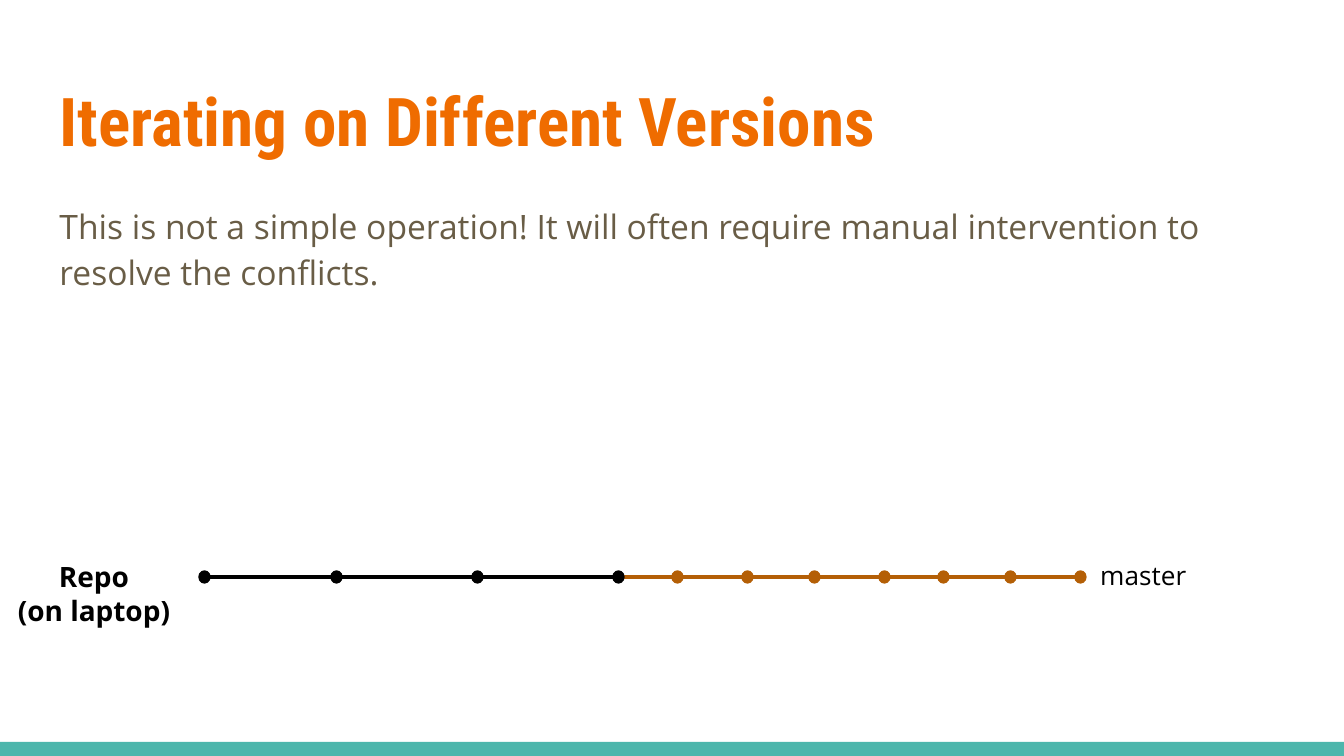
import pptx
import pptx.dml.color
import pptx.enum.shapes
import pptx.enum.text
import pptx.util
import pptx.oxml.xmlchemy

WIDTH, HEIGHT = 1344, 756
EMU_PER_PX = 9144000 / WIDTH
BLACK, BROWN, ORANGE, TAUPE, TEAL = "000000", "B45F06", "EF6C00", "695D46", "4DB6AC"
DOT_WIDTH, DOT_HEIGHT = 11, 12


def px(length):
    return pptx.util.Emu(round(length * EMU_PER_PX))


def color(hex_string):
    return pptx.dml.color.RGBColor.from_string(hex_string)


def place(shape, box):
    shape.left, shape.top, shape.width, shape.height = map(px, box)


def write(shape, text, size, fill, font="Open Sans", bold=False, align="LEFT",
          spacing=1.0, space_after=0):
    frame = shape.text_frame
    frame.word_wrap = True
    frame.auto_size = pptx.enum.text.MSO_AUTO_SIZE.NONE
    frame.vertical_anchor = pptx.enum.text.MSO_ANCHOR.TOP
    frame.margin_left = frame.margin_right = pptx.util.Inches(0.1)
    frame.margin_top = frame.margin_bottom = pptx.util.Inches(0.1)
    frame.text = text
    for paragraph in frame.paragraphs:
        paragraph.alignment = getattr(pptx.enum.text.PP_ALIGN, align)
        paragraph.line_spacing = spacing
        paragraph.space_before = pptx.util.Pt(0)
        paragraph.space_after = pptx.util.Pt(space_after)
        for run in paragraph.runs:
            run.font.name = font
            run.font.size = pptx.util.Pt(size)
            run.font.bold = bold
            run.font.color.rgb = color(fill)


def add_label(slide, box, text, **text_format):
    label = slide.shapes.add_textbox(*map(px, box))
    write(label, text, fill=BLACK, **text_format)


def add_filled(slide, kind, box, fill):
    shape = slide.shapes.add_shape(kind, *map(px, box))
    shape.shadow.inherit = False
    shape.fill.solid()
    shape.fill.fore_color.rgb = color(fill)
    shape.line.fill.background()
    return shape


def add_commit(slide, left, top, fill):
    box = (left, top, DOT_WIDTH, DOT_HEIGHT)
    dot = add_filled(slide, pptx.enum.shapes.MSO_SHAPE.OVAL, box, fill)
    dot.line.color.rgb = color(fill)
    dot.line.width = pptx.util.Pt(0.75)


def add_link(slide, start, end, y, fill):
    link = slide.shapes.add_connector(
        pptx.enum.shapes.MSO_CONNECTOR.STRAIGHT, px(start), px(y), px(end), px(y))
    link.line.color.rgb = color(fill)
    link.line.width = pptx.util.Pt(2.25)
    properties = link._element.spPr
    properties.append(pptx.oxml.xmlchemy.OxmlElement("a:effectLst"))


def add_heading(slide, box):
    left, top, width, height = box
    title, body = slide.shapes.title, slide.placeholders[1]
    place(title, (left, top, width, 103))
    write(title, "Iterating on Different Versions", 36, ORANGE,
          font="Roboto Condensed", bold=True)
    place(body, (left, top + 120, width, height - 120))
    write(body, "This is not a simple operation! It will often require manual "
          "intervention to resolve the conflicts.", 18, TAUPE,
          spacing=1.15, space_after=16)
    properties = body.text_frame.paragraphs[0]._p.get_or_add_pPr()
    properties.set("marL", "0")
    properties.set("indent", "0")
    properties.append(pptx.oxml.xmlchemy.OxmlElement("a:buNone"))


def add_branch(slide, box):
    """Draw the labelled commit history; brown commits follow the black ones."""
    left, top, width, height = box
    add_label(slide, (left, top, 188, height), "Repo\n(on laptop)",
              size=15, bold=True, align="CENTER")
    add_label(slide, (left + width - 188, top, 188, 36), "master", size=14)
    commits = [(left + offset, BLACK) for offset in (199, 331, 472, 613)]
    commits += [(left + offset, BROWN)
                for offset in (672, 742, 809, 879, 938, 1005, 1075)]
    dot_top = top + 25
    for (start, _), (end, fill) in zip(commits, commits[1:]):
        add_link(slide, start + DOT_WIDTH, end, dot_top + DOT_HEIGHT / 2, fill)
    for commit_left, fill in commits:
        add_commit(slide, commit_left, dot_top, fill)


def main():
    presentation = pptx.Presentation()
    presentation.slide_width, presentation.slide_height = px(WIDTH), px(HEIGHT)
    slide = presentation.slides.add_slide(presentation.slide_layouts[1])
    add_filled(slide, pptx.enum.shapes.MSO_SHAPE.RECTANGLE,
               (0, HEIGHT - 14, WIDTH, 14), TEAL)
    add_heading(slide, (46, 66, 1252, 237))
    add_branch(slide, (0, 546, 1275, 103))
    presentation.save("out.pptx")


if __name__ == "__main__":
    main()
